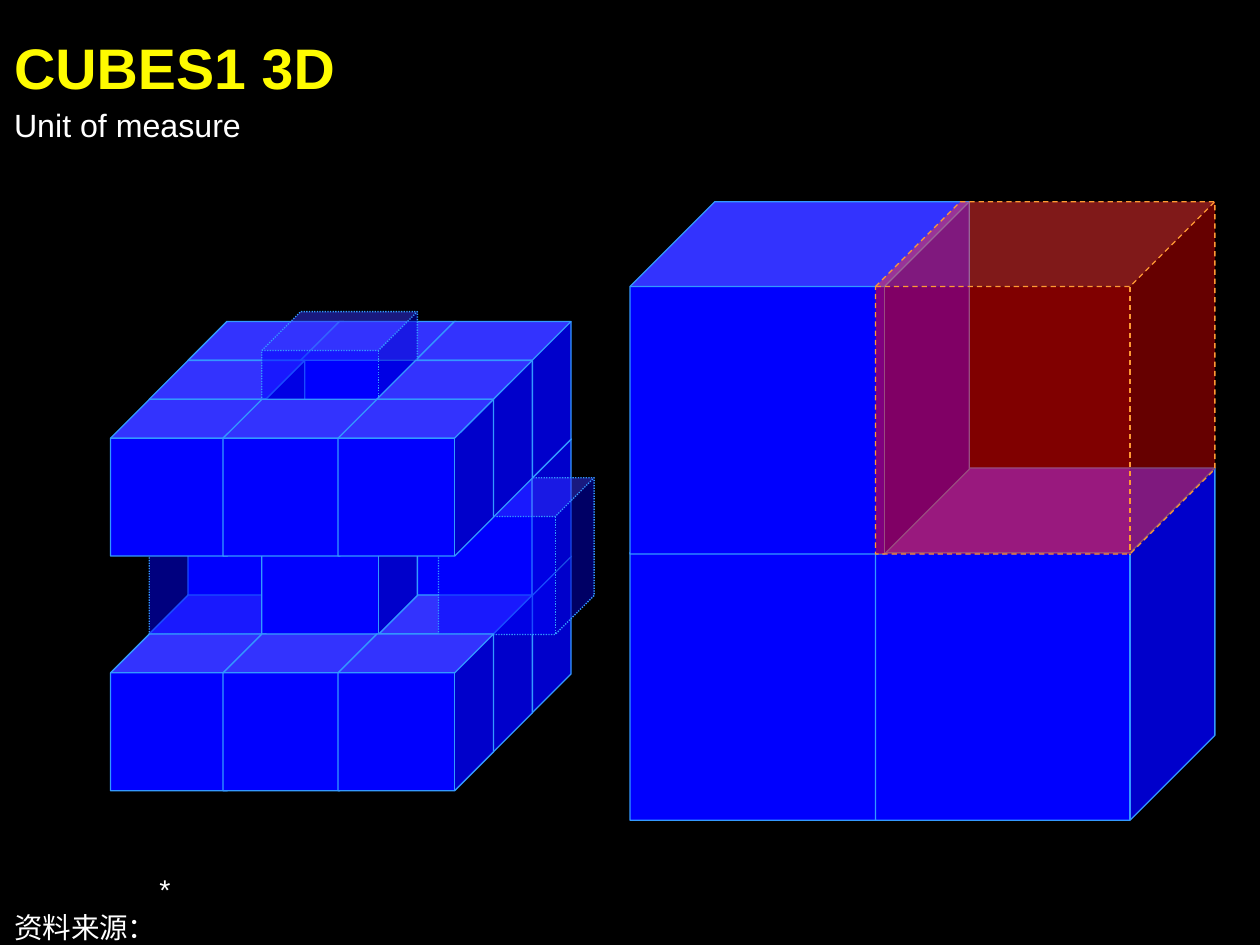
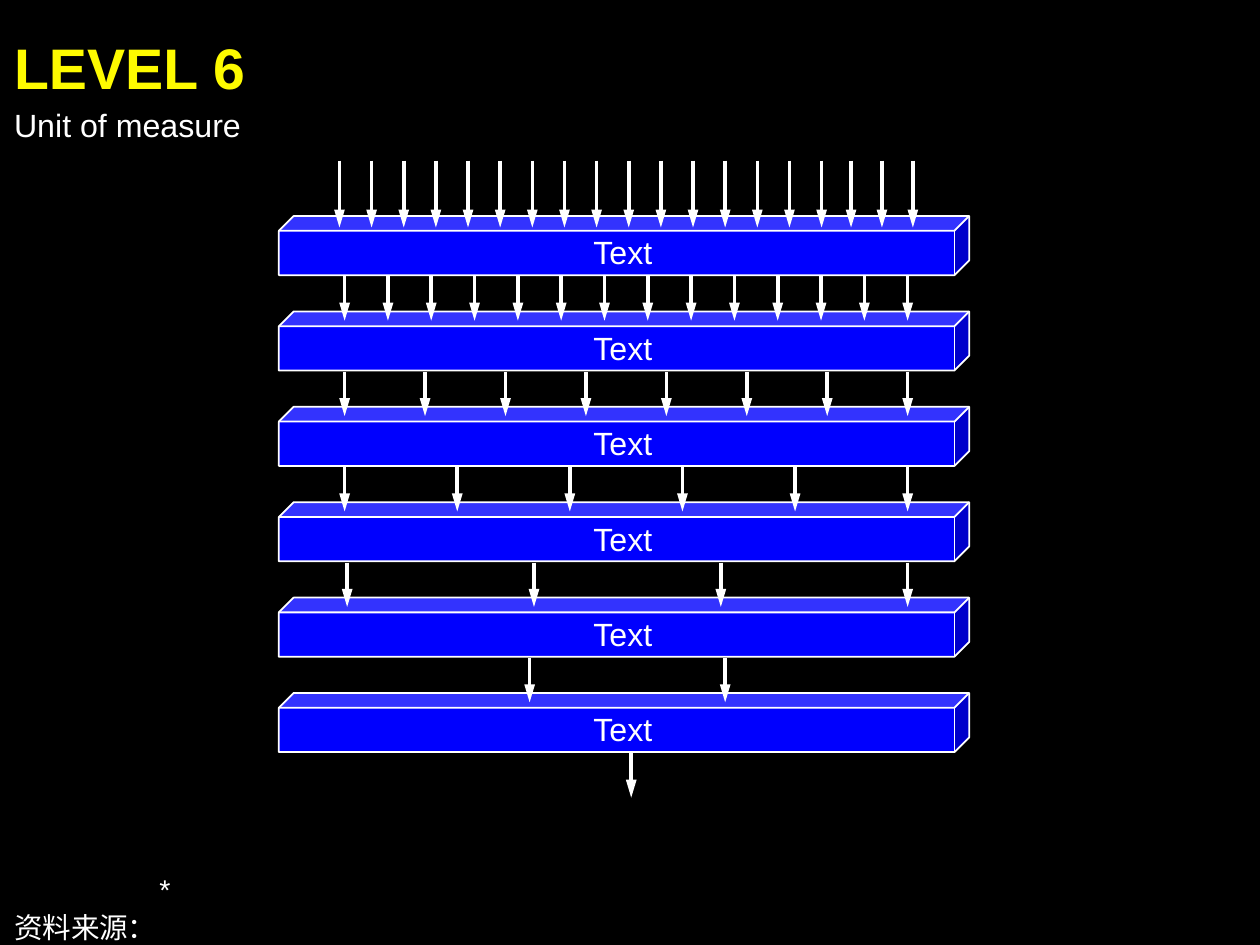
import pptx
import pptx.dml.color
import pptx.enum.dml
import pptx.enum.shapes
import pptx.enum.text
import pptx.oxml.ns
import pptx.util
from lxml import etree

Pt = pptx.util.Pt
RGB = pptx.dml.color.RGBColor
Dash = pptx.enum.dml.MSO_LINE
Align = pptx.enum.text.PP_ALIGN
Anchor = pptx.enum.text.MSO_ANCHOR
qn = pptx.oxml.ns.qn

BLACK = RGB(0x00, 0x00, 0x00)
WHITE = RGB(0xFF, 0xFF, 0xFF)
YELLOW = RGB(0xFE, 0xFB, 0x00)
BLUE = RGB(0x00, 0x00, 0xFE)
SKY = RGB(0x33, 0x99, 0xFF)
RED = RGB(0xFF, 0x00, 0x00)
ORANGE = RGB(0xFF, 0x99, 0x33)


class Deck:
    """Holds the shared style and the slide being built."""

    font = "Arial"
    left = 7.9

    def __init__(self):
        self.prs = pptx.Presentation()
        self.prs.slide_width, self.prs.slide_height = Pt(705.6), Pt(529.2)
        background = self.prs.slide_master.background.fill
        background.solid()
        background.fore_color.rgb = BLACK
        self.slide = None

    def add_slide(self, title):
        self.slide = self.prs.slides.add_slide(self.prs.slide_layouts[5])
        heading = self.slide.shapes.title
        heading.left, heading.top = Pt(self.left), Pt(18)
        heading.width, heading.height = Pt(684.7), Pt(38.2)
        self.fill_frame(heading.text_frame, [title], 32, color=YELLOW, bold=True)
        self.text(["Unit of measure"], self.left, 59, 521.3, 21.6)
        self.source_note()

    def fill_frame(self, frame, lines, size, color=WHITE, bold=False,
                   align=Align.LEFT, anchor=Anchor.TOP):
        frame.margin_left = frame.margin_right = 0
        frame.margin_top = frame.margin_bottom = 0
        frame.word_wrap = True
        frame.auto_size = pptx.enum.text.MSO_AUTO_SIZE.SHAPE_TO_FIT_TEXT
        frame.vertical_anchor = anchor
        frame.text = "\n".join(lines)
        for paragraph in frame.paragraphs:
            paragraph.alignment = align
            font = paragraph.font
            font.name, font.size, font.bold = self.font, Pt(size), bold
            font.color.rgb = color

    def text(self, lines, x, y, width, height, size=18, **style):
        box = self.slide.shapes.add_textbox(Pt(x), Pt(y), Pt(width), Pt(height))
        self.fill_frame(box.text_frame, lines, size, **style)
        return box.text_frame

    def source_note(self):
        note = self.text(["\t*", "资料来源："], self.left, 488.2, 678.2, 40.3,
                         size=16, anchor=Anchor.BOTTOM)
        for paragraph in note.paragraphs:
            paragraph.space_after = Pt(2)
            properties = paragraph._p.get_or_add_pPr()
            properties.set("marL", str(Pt(81.4)))
            properties.set("indent", str(-Pt(81.4)))
            tabs = etree.Element(qn("a:tabLst"))
            for position, side in ((0, "l"), (70.6, "r")):
                etree.SubElement(tabs, qn("a:tab"), pos=str(Pt(position)), algn=side)
            properties.find(qn("a:defRPr")).addprevious(tabs)

    def cube(self, x, y, width, height, fill=BLUE, line=SKY, weight=0.75, dash=None):
        cube = self.slide.shapes.add_shape(
            pptx.enum.shapes.MSO_SHAPE.CUBE, Pt(x), Pt(y), Pt(width), Pt(height))
        cube.shadow.inherit = False
        cube.adjustments[0] = 0.25
        cube.fill.solid()
        cube.fill.fore_color.rgb = fill
        cube.line.color.rgb = line
        cube.line.width = Pt(weight)
        if dash:
            cube.line.dash_style = dash
            shade = cube._element.spPr.find(qn("a:solidFill"))[0]
            etree.SubElement(shade, qn("a:alpha"), val="50000")

    def arrow(self, x, top, bottom):
        arrow = self.slide.shapes.add_connector(
            pptx.enum.shapes.MSO_CONNECTOR.STRAIGHT, Pt(x), Pt(top), Pt(x), Pt(bottom))
        arrow.line.color.rgb = WHITE
        arrow.line.width = Pt(2)
        etree.SubElement(arrow.line._get_or_add_ln(), qn("a:tailEnd"),
                         type="triangle", w="med", len="lg")
        etree.SubElement(arrow._element.spPr, qn("a:effectLst"))

    def arrows(self, first, last, count, top, bottom):
        gap = (last - first) / max(count - 1, 1)
        for index in range(count):
            self.arrow(first + index * gap, top, bottom)


def build_cubes(deck):
    deck.add_slide("CUBES1 3D")
    big_left, big_right, big_top, big_bottom = 352.8, 490.3, 113, 262.1
    big_size = (190, 197.3)
    for x, y in ((big_left, big_bottom), (big_right, big_bottom), (big_left, big_top)):
        deck.cube(x, y, *big_size)
    deck.cube(big_right, big_top, *big_size, fill=RED, line=ORANGE, dash=Dash.DASH)

    ghost_shifts = {(1, 1, 0): (0, 0), (1, 1, 2): (34.6, 0), (1, 2, 1): (0, -27.3)}
    for depth in (2, 1, 0):
        for level in range(3):
            if (depth, level) == (0, 1):
                continue
            for column, offset in enumerate((0, 63, 127.4)):
                place = (depth, level, column)
                shift_x, shift_y = ghost_shifts.get(place, (0, 0))
                deck.cube(61.9 + offset + 21.7 * depth + shift_x,
                          355 - 65.7 * level - 21.8 * depth + shift_y, 87.1, 87.8,
                          dash=Dash.ROUND_DOT if place in ghost_shifts else None)


def build_levels(deck):
    deck.add_slide("LEVEL 6")
    bar_height = 33.1
    bar_tops = [121 + 53.42 * level for level in range(6)]
    for top in reversed(bar_tops):
        deck.cube(156.2, top, 386.6, bar_height, line=WHITE, weight=1)

    for first, last, count in ((190.1, 460.1, 16), (476.6, 511.2, 3)):
        deck.arrows(first, last, count, 90, 127.4)
    outputs = ((193, 508.3, 14), (193, 508.3, 8), (193, 508.3, 6),
               (194.4, 508.3, 4), (296.6, 406.1, 2), (353.5, 353.5, 1))
    for top, (first, last, count) in zip(bar_tops, outputs):
        start = top + bar_height + 0.7
        deck.arrows(first, last, count, start, start + 24.8)
        deck.text(["Text"], 164.9, top + 9.4, 367.9, 21.6,
                  align=Align.CENTER, anchor=Anchor.MIDDLE)


def main():
    deck = Deck()
    build_cubes(deck)
    build_levels(deck)
    deck.prs.save("out.pptx")


if __name__ == "__main__":
    main()
